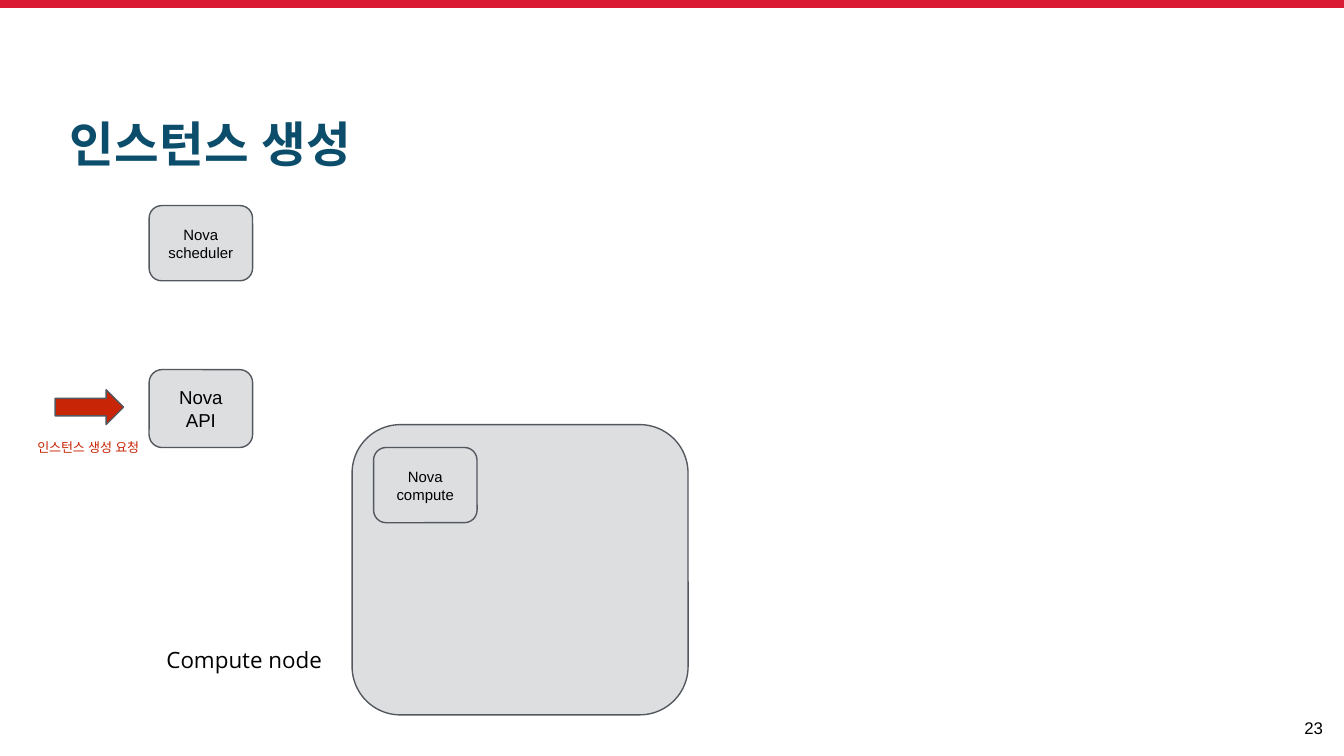
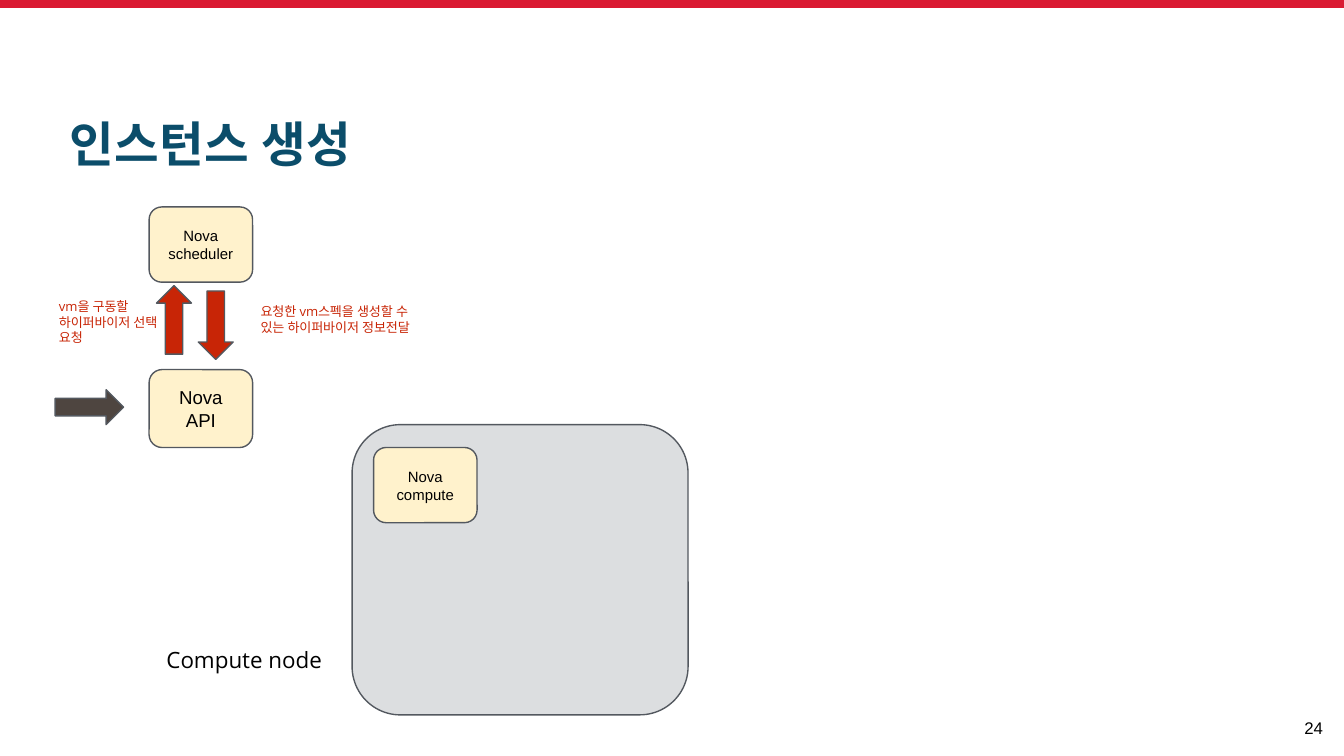
from pptx import Presentation
from pptx.dml.color import RGBColor
from pptx.enum.shapes import MSO_SHAPE as Kind
from pptx.enum.text import MSO_ANCHOR as Anchor, PP_ALIGN as Align
from pptx.oxml.ns import qn
from pptx.util import Inches, Pt

HUE = {
    "band": "DA1A32", "title": "0B4D6A", "text": "000000",
    "grey": "DCDEE0", "cream": "FFF2CC", "edge": "53585F",
    "red": "C82506", "dark": "4E4540",
}
SANS, ARIAL = "Open Sans", "Arial"

TITLE = "인스턴스 생성"
NODE = (2.62, 3.16, 2.5, 2.16)
ARROW = (0.51, 0.26)

# slide data: "top" is the top of the scheduler box
# arrows: left, top, turn, hue; notes: text, place
SLIDES = [
    {
        "page": "23", "fill": "grey", "top": 1.53,
        "arrows": [(0.41, 2.9, 0, "red")],
        "notes": [("인스턴스 생성 요청", (0.18, 3.21, 0.96, 0.32))],
    },
    {
        "page": "24", "fill": "cream", "top": 1.54,
        "arrows": [
            (0.41, 2.9, 0, "dark"),
            (1.04, 2.25, 270, "red"),
            (1.35, 2.29, 90, "red"),
        ],
        "notes": [
            ("vm을 구동할 하이퍼바이저 선택 요청", (0.34, 2.12, 0.98, 0.56)),
            ("요청한 vm스펙을 생성할 수 있는 하이퍼바이저 정보전달",
             (1.84, 2.16, 1.48, 0.44)),
        ],
    },
]


def color(name):
    return RGBColor.from_string(HUE[name])


def write(shape, text, size, face=SANS, hue="text", bold=False,
          align=Align.LEFT, anchor=Anchor.TOP, inset=0.1):
    frame = shape.text_frame
    frame.word_wrap = True
    frame.vertical_anchor = anchor
    frame.margin_left = frame.margin_right = Inches(inset)
    frame.margin_top = frame.margin_bottom = Inches(inset)
    para = frame.paragraphs[0]
    para.alignment = align
    for i, line in enumerate(text.split("\n")):
        if i:
            para.add_line_break()
        run = para.add_run()
        run.text = line
        font = run.font
        font.size, font.name, font.bold = Pt(size), face, bold
        font.color.rgb = color(hue)
        east = font._element.makeelement(qn("a:ea"), {"typeface": face})
        font._element.append(east)
    return para


def label(slide, text, place, size, **style):
    box = slide.shapes.add_textbox(*map(Inches, place))
    return write(box, text, size, **style)


def draw(slide, kind, place, fill, edge="edge"):
    shape = slide.shapes.add_shape(kind, *map(Inches, place))
    shape.shadow.inherit = False
    shape.fill.solid()
    shape.fill.fore_color.rgb = color(fill)
    if edge:
        shape.line.color.rgb = color(edge)
        shape.line.width = Pt(0.75)
    else:
        shape.line.fill.background()
    return shape


def build(deck, data):
    slide = deck.slides.add_slide(deck.slide_layouts[6])
    draw(slide, Kind.RECTANGLE, (0, -0.02, 10, 0.08), "band", None)
    draw(slide, Kind.ROUNDED_RECTANGLE, NODE, "grey")
    head = label(slide, TITLE, (0.48, 0.74, 7.65, 0.58), 26, hue="title",
                 bold=True, anchor=Anchor.BOTTOM, inset=0.04)
    head.line_spacing = 0.8
    parts = [
        ("Nova\nAPI", 1.11, 2.75, 0.58, 10),
        ("Nova\nscheduler", 1.11, data["top"], 0.56, 8),
        ("Nova\ncompute", 2.78, 3.33, 0.56, 8),
    ]
    for name, left, top, high, size in parts:
        part = draw(slide, Kind.ROUNDED_RECTANGLE, (left, top, 0.77, high),
                    data["fill"])
        write(part, name, size, face=ARIAL, align=Align.CENTER,
              anchor=Anchor.MIDDLE)
    label(slide, "Compute node", (1.14, 4.71, 1.46, 0.4), 12)
    for left, top, turn, hue in data["arrows"]:
        arrow = draw(slide, Kind.RIGHT_ARROW, (left, top, *ARROW), hue)
        arrow.rotation = turn
    for text, place in data["notes"]:
        label(slide, text, place, 7, hue="red")
    label(slide, data["page"], (9.68, 5.32, 0.19, 0.19), 9, face=ARIAL,
          align=Align.CENTER, inset=0.02)


def main():
    deck = Presentation()
    deck.slide_width = Inches(10)
    deck.slide_height = Inches(10) * 9 // 16
    for data in SLIDES:
        build(deck, data)
    deck.save("out.pptx")


if __name__ == "__main__":
    main()
